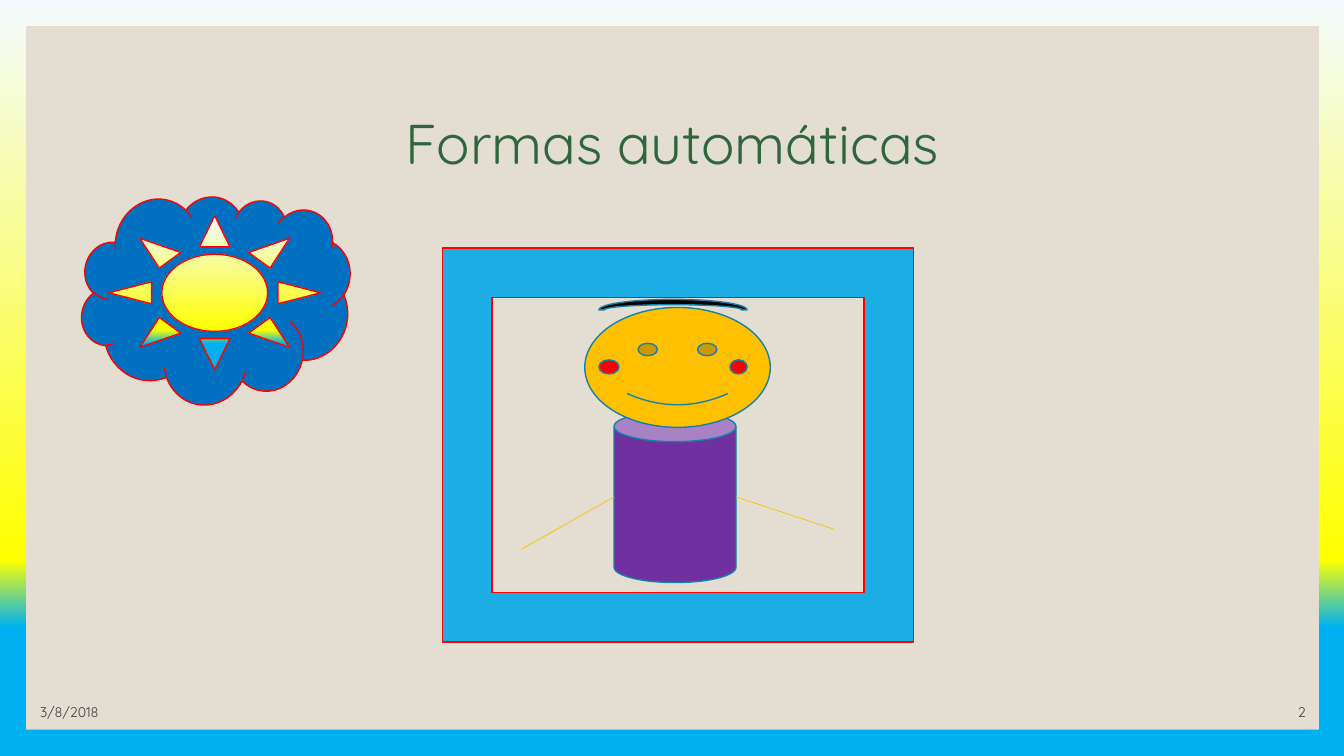
from dataclasses import dataclass

from lxml import etree
from pptx import Presentation
from pptx.dml.color import RGBColor
from pptx.dml.fill import FillFormat
from pptx.enum.shapes import MSO_CONNECTOR, MSO_SHAPE
from pptx.enum.text import MSO_ANCHOR, PP_ALIGN
from pptx.oxml.ns import qn
from pptx.slide import Slide
from pptx.util import Inches, Pt

RECTANGLE, FRAME, CAN = MSO_SHAPE.RECTANGLE, MSO_SHAPE.FRAME, MSO_SHAPE.CAN
SMILEY, ARC, CLOUD, SUN = MSO_SHAPE.SMILEY_FACE, MSO_SHAPE.BLOCK_ARC, MSO_SHAPE.CLOUD, MSO_SHAPE.SUN
CHEEK = MSO_SHAPE.FLOWCHART_CONNECTOR
STRAIGHT = MSO_CONNECTOR.STRAIGHT
LEFT, CENTER, RIGHT = PP_ALIGN.LEFT, PP_ALIGN.CENTER, PP_ALIGN.RIGHT
MIDDLE, BOTTOM = MSO_ANCHOR.MIDDLE, MSO_ANCHOR.BOTTOM

FONT = "Quicksand"
COLORS = {
    "panel": "E3DED1",
    "title": "2F663E",
    "footer": "404040",
    "frame": "1CADE4",
    "outline": "1580A9",
    "red": "FF0000",
    "purple": "7030A0",
    "skin": "FFC000",
    "black": "000000",
    "cloud": "0070C0",
}
SKY_STOPS = ((0, "F4FBFE"), (74, "FFFF00"), (83, "00B0F0"), (100, "00B0F0"))


@dataclass(frozen=True)
class Box:
    left: float
    top: float
    width: float
    height: float

    def lengths(self) -> list[Inches]:
        return [Inches(value) for value in (self.left, self.top, self.width, self.height)]


@dataclass(frozen=True)
class Figure:
    """A preset shape; without a fill colour it takes the sky gradient."""
    kind: MSO_SHAPE
    box: Box
    fill: str | None
    line: str | None
    rotation: float = 0


@dataclass(frozen=True)
class Label:
    text: str
    box: Box
    size: float
    color: str
    align: PP_ALIGN
    anchor: MSO_ANCHOR
    line_spacing: float = 1.0


@dataclass(frozen=True)
class Arm:
    start: tuple[float, float]
    end: tuple[float, float]


BODY = Box(6.09, 4.08, 1.21, 1.7)
SHOULDER = BODY.top + BODY.height / 2

FIGURES = (
    Figure(RECTANGLE, Box(0.26, 0.26, 12.82, 6.98), "panel", None),
    Figure(FRAME, Box(4.39, 2.46, 4.67, 3.91), "frame", "red"),
    Figure(CAN, BODY, "purple", "outline"),
    Figure(SMILEY, Box(5.8, 3.05, 1.84, 1.19), "skin", "outline"),
    Figure(ARC, Box(5.94, 2.97, 1.47, 0.21), "black", "outline"),
    Figure(CHEEK, Box(5.94, 3.57, 0.2, 0.14), "red", "outline"),
    Figure(CHEEK, Box(7.24, 3.57, 0.17, 0.14), "red", "outline"),
    Figure(CLOUD, Box(0.81, 1.91, 2.65, 2.11), "cloud", "red", 11.8),
    Figure(SUN, Box(1.08, 2.14, 2.1, 1.53), None, "red"),
)
ARMS = (
    Arm((8.27, 5.25), (BODY.left + BODY.width, SHOULDER)),
    Arm((BODY.left, SHOULDER), (5.17, 5.45)),
)
LABELS = (
    Label("Formas automáticas", Box(1.17, 0.7, 11, 1.5), 40, "title", CENTER, MIDDLE, 0.9),
    Label("3/8/2018", Box(0.3, 6.9, 3, 0.3), 10, "footer", LEFT, BOTTOM),
    Label("2", Box(11.45, 6.9, 1.6, 0.3), 10, "footer", RIGHT, BOTTOM),
)


def color(name: str) -> RGBColor:
    return RGBColor.from_string(COLORS[name])


def fill_with_sky(fill: FillFormat, element: etree.ElementBase) -> None:
    """Give the fill, held inside element, the vertical sky gradient."""
    fill.gradient()
    fill.gradient_angle = 270
    stop_list = next(element.iter(qn("a:gsLst")))
    for old_stop in list(stop_list):
        stop_list.remove(old_stop)
    for percent, hex_color in SKY_STOPS:
        stop = etree.SubElement(stop_list, qn("a:gs"), pos=str(percent * 1000))
        etree.SubElement(stop, qn("a:srgbClr"), val=hex_color)


def draw_figure(slide: Slide, figure: Figure) -> None:
    shape = slide.shapes.add_shape(figure.kind, *figure.box.lengths())
    shape.shadow.inherit = False
    shape.rotation = figure.rotation
    if figure.fill is None:
        fill_with_sky(shape.fill, shape.element)
    else:
        shape.fill.solid()
        shape.fill.fore_color.rgb = color(figure.fill)
    if figure.line is None:
        shape.line.fill.background()
    else:
        shape.line.color.rgb = color(figure.line)
        shape.line.width = Pt(1)


def draw_arm(slide: Slide, arm: Arm) -> None:
    ends = [Inches(value) for value in (*arm.start, *arm.end)]
    connector = slide.shapes.add_connector(STRAIGHT, *ends)
    connector.line.color.rgb = color("skin")
    connector.line.width = Pt(0.5)
    etree.SubElement(connector.element.spPr, qn("a:effectLst"))


def draw_label(slide: Slide, label: Label) -> None:
    text_frame = slide.shapes.add_textbox(*label.box.lengths()).text_frame
    text_frame.word_wrap = True
    text_frame.vertical_anchor = label.anchor
    paragraph = text_frame.paragraphs[0]
    paragraph.alignment = label.align
    paragraph.line_spacing = label.line_spacing
    run = paragraph.add_run()
    run.text = label.text
    run.font.name = FONT
    run.font.size = Pt(label.size)
    run.font.color.rgb = color(label.color)


def main() -> None:
    presentation = Presentation()
    presentation.slide_width = Inches(13.33)
    presentation.slide_height = Inches(7.5)
    slide = presentation.slides.add_slide(presentation.slide_layouts[6])
    fill_with_sky(slide.background.fill, slide.element)
    for figure in FIGURES:
        draw_figure(slide, figure)
    for arm in ARMS:
        draw_arm(slide, arm)
    for label in LABELS:
        draw_label(slide, label)
    presentation.save("out.pptx")


if __name__ == "__main__":
    main()
